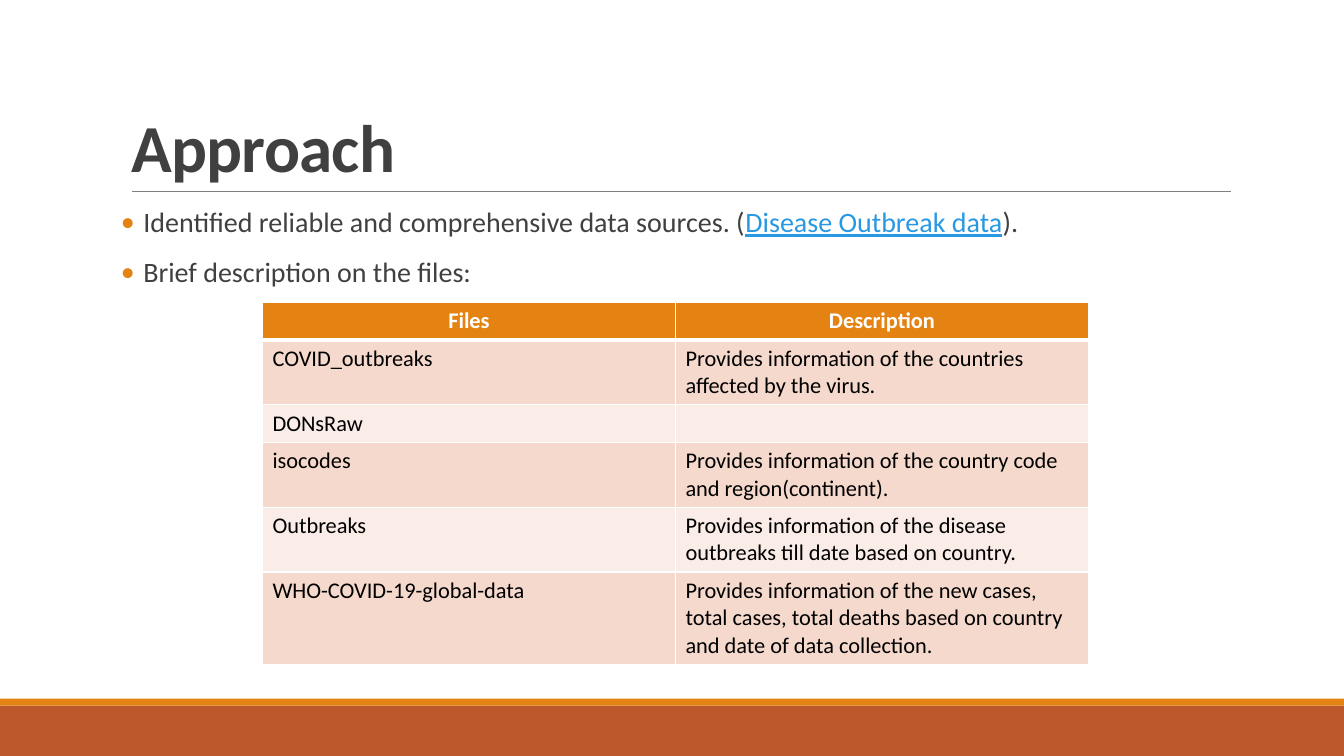
from dataclasses import dataclass

from lxml.etree import SubElement
from pptx import Presentation
from pptx.dml.color import RGBColor
from pptx.enum.shapes import MSO_CONNECTOR, MSO_SHAPE
from pptx.enum.text import MSO_ANCHOR, MSO_AUTO_SIZE, PP_ALIGN
from pptx.oxml.ns import qn
from pptx.util import Pt


@dataclass(frozen=True)
class Theme:
    font: str = "Calibri"
    title_size: float = 48
    body_size: float = 20
    table_size: float = 16
    text: str = "404040"
    link: str = "2998E3"
    accent: str = "E48312"
    footer: str = "BD582C"
    rule: str = "808080"
    white: str = "FFFFFF"
    black: str = "000000"
    band_dark: str = "F5D9CC"
    band_light: str = "FAEDE7"


THEME = Theme()

BULLETS = [
    [("Identified reliable and comprehensive data sources. (", False),
     ("Disease Outbreak data", True),
     (").", False)],
    [("Brief description on the files:", False)],
]

# Each row: file, description, number of text lines
FILES = [
    ("Files", "Description", 1),
    ("COVID_outbreaks", "Provides information of the countries affected by the virus.", 2),
    ("DONsRaw", "", 1),
    ("isocodes", "Provides information of the country code and region(continent).", 2),
    ("Outbreaks",
     "Provides information of the disease outbreaks till date based on country.", 2),
    ("WHO-COVID-19-global-data",
     "Provides information of the new cases, total cases, total deaths "
     "based on country and date of data collection.", 3),
]


def apply_format(target, values):
    for name, value in values.items():
        setattr(target, name, value)


def add_span(para, text, size, color, **extra):
    span = para.add_run()
    span.text = text
    apply_format(span.font, {"name": THEME.font, "size": Pt(size), **extra})
    span.font.color.rgb = RGBColor.from_string(color)
    return span


def place(shape, left, top, width, height):
    apply_format(shape, {"left": Pt(left), "top": Pt(top),
                         "width": Pt(width), "height": Pt(height)})


def add_band(page, top, height, color):
    band = page.shapes.add_shape(MSO_SHAPE.RECTANGLE, Pt(0), Pt(top), Pt(960), Pt(height))
    band.shadow.inherit = False
    band.fill.solid()
    band.fill.fore_color.rgb = RGBColor.from_string(color)
    band.line.fill.background()


def add_rule(page, left, right, top):
    rule = page.shapes.add_connector(
        MSO_CONNECTOR.STRAIGHT, Pt(left), Pt(top), Pt(right), Pt(top))
    rule.line.color.rgb = RGBColor.from_string(THEME.rule)
    rule.line.width = Pt(0.5)
    SubElement(rule.element.spPr, qn("a:effectLst"))


def fill_title(box, text):
    place(box, 86.4, 22.3, 792, 114.5)
    apply_format(box.text_frame, {"vertical_anchor": MSO_ANCHOR.BOTTOM, "word_wrap": True,
                                  "auto_size": MSO_AUTO_SIZE.NONE})
    para = box.text_frame.paragraphs[0]
    apply_format(para, {"alignment": PP_ALIGN.LEFT, "line_spacing": 0.85})
    span = add_span(para, text, THEME.title_size, THEME.text, bold=True)
    span.font._element.set("spc", "-50")


def add_bullet(para):
    properties = para._p.get_or_add_pPr()
    properties.set("marL", str(Pt(16)))
    properties.set("indent", str(Pt(-16)))
    color = SubElement(properties, qn("a:buClr"))
    SubElement(color, qn("a:srgbClr"), val=THEME.accent)
    SubElement(properties, qn("a:buFont"), typeface=THEME.font)
    SubElement(properties, qn("a:buChar"), char="•")


def fill_body(box, bullets):
    place(box, 86.4, 145.4, 792, 316.8)
    frame = box.text_frame
    apply_format(frame, {"margin_left": 0, "margin_right": 0, "word_wrap": True,
                         "vertical_anchor": MSO_ANCHOR.TOP,
                         "auto_size": MSO_AUTO_SIZE.NONE})
    for index, spans in enumerate(bullets):
        para = frame.add_paragraph() if index else frame.paragraphs[0]
        add_bullet(para)
        apply_format(para, {"line_spacing": 0.9, "space_after": Pt(2),
                            "space_before": Pt(12 if index else 0)})
        for text, linked in spans:
            add_span(para, text, THEME.body_size,
                     THEME.link if linked else THEME.text, underline=linked)


def set_borders(cell, bottom):
    properties = cell._tc.get_or_add_tcPr()
    for side, width in {"L": 1, "R": 1, "T": 1, "B": bottom}.items():
        line = SubElement(properties, qn(f"a:ln{side}"), w=str(Pt(width)))
        SubElement(SubElement(line, qn("a:solidFill")), qn("a:srgbClr"), val=THEME.white)


def fill_cell(cell, text, fill, is_header):
    set_borders(cell, 3 if is_header else 1)
    cell.fill.solid()
    cell.fill.fore_color.rgb = RGBColor.from_string(fill)
    para = cell.text_frame.paragraphs[0]
    para.alignment = PP_ALIGN.CENTER if is_header else PP_ALIGN.LEFT
    if text:
        add_span(para, text, THEME.table_size,
                 THEME.white if is_header else THEME.black, bold=is_header)
    else:
        # An empty cell keeps the row at the table's type size
        SubElement(para._p, qn("a:endParaRPr"), sz=str(int(THEME.table_size * 100)))


def add_files_table(page, rows):
    heights = [25.2 + 18.7 * (lines - 1) for *_, lines in rows]
    table = page.shapes.add_table(
        len(rows), 2, Pt(187.5), Pt(216), Pt(590), Pt(sum(heights))).table
    for column in table.columns:
        column.width = Pt(295)
    for index, (*texts, _) in enumerate(rows):
        table.rows[index].height = Pt(heights[index])
        band = THEME.band_dark if index % 2 else THEME.band_light
        for column, text in enumerate(texts):
            fill_cell(table.cell(index, column), text,
                      band if index else THEME.accent, index == 0)


def main():
    deck = Presentation()
    apply_format(deck, {"slide_width": Pt(960), "slide_height": Pt(540)})
    page = deck.slides.add_slide(deck.slide_layouts[1])

    # Footer bands and title rule
    add_band(page, 504, 36, THEME.footer)
    add_band(page, 499, 5, THEME.accent)
    add_rule(page, 94.3, 879, 136.8)

    # Title, list and table
    fill_title(page.shapes.title, "Approach")
    fill_body(page.placeholders[1], BULLETS)
    add_files_table(page, FILES)

    deck.save("out.pptx")


if __name__ == "__main__":
    main()
